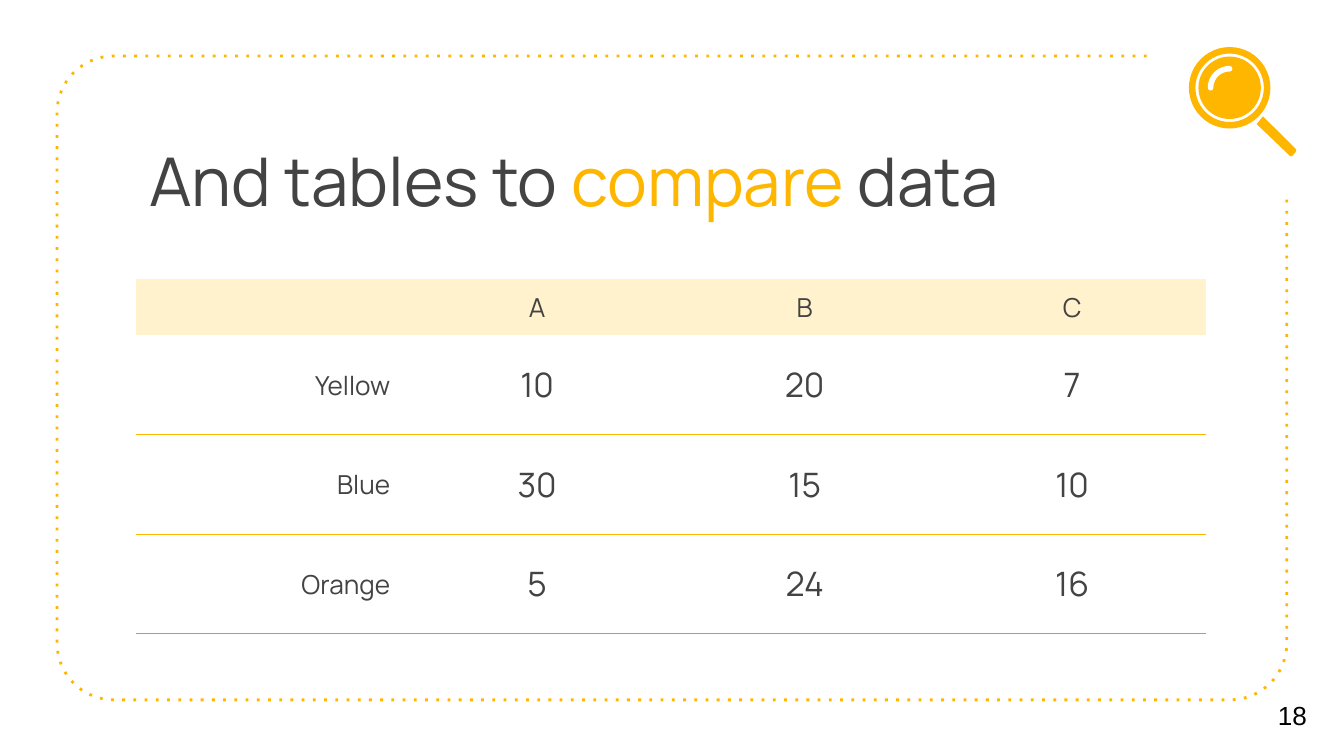
from collections import namedtuple
from math import cos, radians, sin

from lxml import etree
from pptx import Presentation
from pptx import util as u
from pptx.dml.color import RGBColor
from pptx.enum import shapes, text
from pptx.oxml import ns

Box = namedtuple("Box", "left top width height")

COLORS = {
    "yellow": "FFB600",
    "cream": "FFF2CC",
    "dark": "434343",
    "grey": "9E9E9E",
    "white": "FFFFFF",
    "black": "000000",
}
NO_STYLE = "{2D5ABB26-0587-4C30-8999-92F81FD0307C}"
ROWS = [
    ["", "A", "B", "C"],
    ["Yellow", "10", "20", "7"],
    ["Blue", "30", "15", "10"],
    ["Orange", "5", "24", "16"],
]


def color(name):
    return RGBColor.from_string(COLORS[name])


def format_run(run, size, color_name, font="Manrope"):
    run.font.size = u.Pt(size)
    run.font.name = font
    run.font.color.rgb = color(color_name)


def fill_shape(shape, color_name):
    shape.shadow.inherit = False
    shape.fill.solid()
    shape.fill.fore_color.rgb = color(color_name)
    shape.line.fill.background()


def outline_shape(shape, color_name, width):
    shape.shadow.inherit = False
    shape.fill.background()
    shape.line.color.rgb = color(color_name)
    shape.line.width = u.Pt(width)
    return shape.element.spPr.find(ns.qn("a:ln"))


def arc(x, y, radius, start, end, steps=16):
    angles = [radians(start + (end - start) * i / steps) for i in range(steps + 1)]
    return [(x + radius * cos(a), y + radius * sin(a)) for a in angles]


def add_outline(parent, points, close):
    points = [(u.Cm(x), u.Cm(y)) for x, y in points]
    builder = parent.build_freeform(*points[0], scale=1.0)
    builder.add_line_segments(points[1:], close=close)
    return builder.convert_to_shape()


def add_frame(slide, box, radius=1.07):
    right, bottom = box.left + box.width, box.top + box.height
    near_x, far_x = box.left + radius, right - radius
    near_y, far_y = box.top + radius, bottom - radius
    points = [
        (box.left + 20.59, box.top),
        *arc(near_x, near_y, radius, 270, 180),
        *arc(near_x, far_y, radius, 180, 90),
        *arc(far_x, far_y, radius, 90, 0),
        (right, box.top + 2.65),
    ]
    line = outline_shape(add_outline(slide.shapes, points, False), "yellow", 1.5)
    etree.SubElement(line, ns.qn("a:prstDash"), val="dot")


def add_text_box(slide, box, anchor, margin=0.25):
    shape = slide.shapes.add_textbox(*map(u.Cm, box))
    frame = shape.text_frame
    frame.word_wrap = True
    frame.vertical_anchor = anchor
    frame.margin_left = frame.margin_right = u.Cm(margin)
    frame.margin_top = frame.margin_bottom = u.Cm(margin)
    return frame


def add_title(slide, box):
    paragraph = add_text_box(slide, box, text.MSO_ANCHOR.TOP).paragraphs[0]
    paragraph.line_spacing = 0.95
    for words, name in (("And tables to ", "dark"), ("compare", "yellow"), (" data", "dark")):
        run = paragraph.add_run()
        run.text = words
        format_run(run, 36, name)


def add_page_number(slide, box):
    frame = add_text_box(slide, box, text.MSO_ANCHOR.MIDDLE)
    frame.text = "18"
    format_run(frame.paragraphs[0].runs[0], 14, "black", "Arial")


def add_bottom_border(cell, color_name):
    line = etree.Element(ns.qn("a:lnB"), w=str(u.Pt(0.75)))
    fill = etree.SubElement(line, ns.qn("a:solidFill"))
    etree.SubElement(fill, ns.qn("a:srgbClr"), val=COLORS[color_name])
    cell._tc.get_or_add_tcPr().insert(0, line)


def fill_cell(cell, words, row, column):
    if row == 0:
        cell.fill.solid()
        cell.fill.fore_color.rgb = color("cream")
    else:
        cell.fill.background()
        add_bottom_border(cell, "grey" if row == len(ROWS) - 1 else "yellow")
    if not words:
        return
    cell.vertical_anchor = text.MSO_ANCHOR.MIDDLE
    cell.margin_left = cell.margin_right = u.Cm(0.25)
    cell.margin_top = cell.margin_bottom = u.Cm(0.18)
    cell.text = words
    paragraph = cell.text_frame.paragraphs[0]
    paragraph.alignment = text.PP_ALIGN.CENTER if column else text.PP_ALIGN.RIGHT
    format_run(paragraph.runs[0], 18 if row and column else 14, "dark")


def add_data_table(slide, box, header_height=1.06):
    graphic = slide.shapes.add_table(len(ROWS), len(ROWS[0]), *map(u.Cm, box))
    table = graphic.table
    table.first_row = table.horz_banding = False
    table._tbl.tblPr.find(ns.qn("a:tableStyleId")).text = NO_STYLE
    body_height = (box.height - header_height) / (len(ROWS) - 1)
    for column in table.columns:
        column.width = u.Cm(box.width / len(ROWS[0]))
    for row, values in enumerate(ROWS):
        table.rows[row].height = u.Cm(body_height if row else header_height)
        for column, words in enumerate(values):
            fill_cell(table.cell(row, column), words, row, column)


def add_magnifier(slide, box, lens=1.54, inset=0.18):
    group = slide.shapes.add_group_shape().shapes
    rim = group.add_shape(
        shapes.MSO_SHAPE.DONUT, *map(u.Cm, (box.left, box.top, lens, lens))
    )
    rim.adjustments[0] = 0.08
    glass_size = lens - 2 * inset
    glass = group.add_shape(
        shapes.MSO_SHAPE.OVAL,
        *map(u.Cm, (box.left + inset, box.top + inset, glass_size, glass_size)),
    )
    corners = [
        (0.69, 0.63), (0.63, 0.7), (0.92, 0.97), (0.94, 0.99), (0.96, 0.99),
        (0.99, 0.96), (1, 0.94), (0.99, 0.92),
    ]
    handle = add_outline(
        group,
        [(box.left + x * box.width, box.top + y * box.height) for x, y in corners],
        True,
    )
    for part in (rim, glass, handle):
        fill_shape(part, "yellow")
    center_x, center_y = box.left + lens / 2, box.top + lens / 2
    glint = add_outline(group, arc(center_x, center_y, 0.36, 180, 270), False)
    outline_shape(glint, "white", 3).set("cap", "rnd")


def main():
    presentation = Presentation()
    presentation.slide_width = u.Cm(25.4)
    presentation.slide_height = u.Cm(14.29)
    slide = presentation.slides.add_slide(presentation.slide_layouts[6])
    add_frame(slide, Box(1.08, 1.06, 23.24, 12.17))
    add_title(slide, Box(2.57, 2.49, 19.08, 2.39))
    add_data_table(slide, Box(2.57, 5.28, 20.22, 6.7))
    add_page_number(slide, Box(23.9, 12.75, 1.5, 1.52))
    add_magnifier(slide, Box(22.47, 0.89, 2.03, 2.08))
    presentation.save("out.pptx")


if __name__ == "__main__":
    main()
